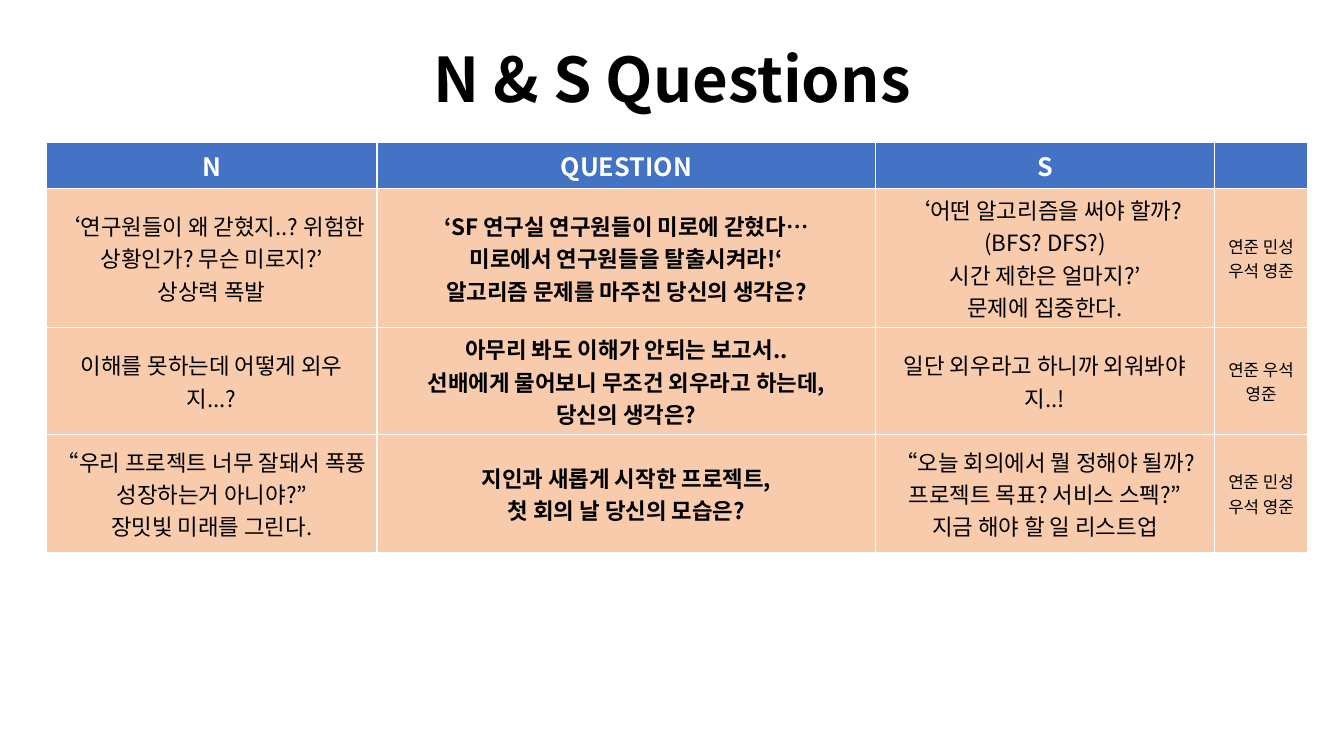
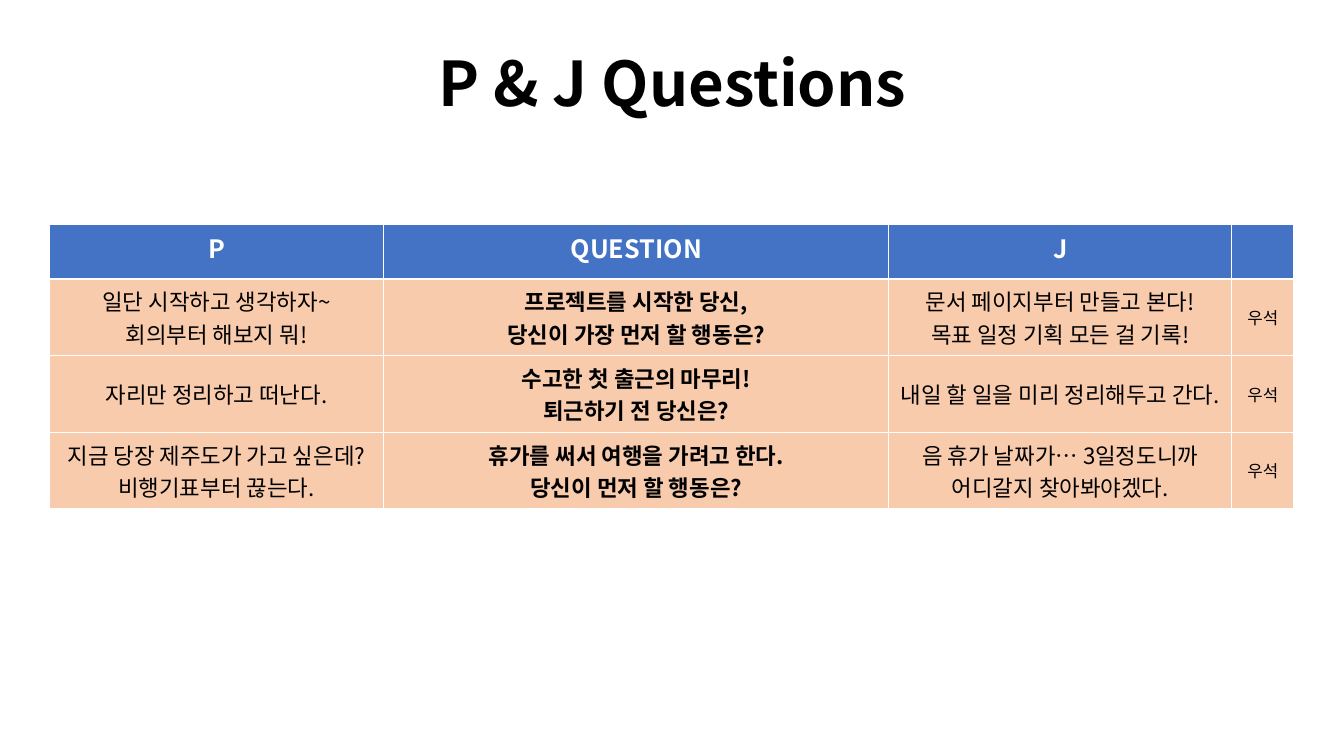
"""Build two slides of personality questions, each a title above a table."""
from lxml import etree
from pptx import Presentation
from pptx.dml.color import RGBColor
from pptx.enum.text import MSO_ANCHOR, MSO_AUTO_SIZE, PP_ALIGN
from pptx.oxml.ns import qn
from pptx.util import Cm, Pt

CENTER = PP_ALIGN.CENTER
TOP, MIDDLE = MSO_ANCHOR.TOP, MSO_ANCHOR.MIDDLE
NO_FIT = MSO_AUTO_SIZE.NONE
FONT = "Noto Sans CJK KR"
COLORS = {"text": "000000", "header_text": "FFFFFF", "header": "4472C4", "body": "F8CBAD"}
QUESTION_COL, NAMES_COL = 1, 3

SLIDES = [
    {
        "title": "N & S Questions",
        "title_top": 0.23,
        "left": 1.17,
        "top": 3.58,
        "cols": [8.33, 12.57, 8.53, 2.36],
        "rows": [1.04, 2.29, 2.29, 2.97],
        "cells": [
            ["N", "QUESTION", "S", ""],
            [
                "‘연구원들이 왜 갇혔지..? 위험한 상황인가? 무슨 미로지?’\n상상력 폭발",
                "‘SF 연구실 연구원들이 미로에 갇혔다…\n미로에서 연구원들을 탈출시켜라!‘\n"
                "알고리즘 문제를 마주친 당신의 생각은?",
                "‘어떤 알고리즘을 써야 할까? (BFS? DFS?)\n시간 제한은 얼마지?’\n문제에 집중한다.",
                "연준 민성 우석 영준",
            ],
            [
                "이해를 못하는데 어떻게 외우지...?",
                "아무리 봐도 이해가 안되는 보고서..\n선배에게 물어보니 무조건 외우라고 하는데,\n"
                "당신의 생각은?",
                "일단 외우라고 하니까 외워봐야지..!",
                "연준 우석 영준",
            ],
            [
                "“우리 프로젝트 너무 잘돼서 폭풍 성장하는거 아니야?”\n장밋빛 미래를 그린다.",
                "지인과 새롭게 시작한 프로젝트,\n첫 회의 날 당신의 모습은?",
                "“오늘 회의에서 뭘 정해야 될까? 프로젝트 목표? 서비스 스펙?”\n"
                "지금 해야 할 일 리스트업",
                "연준 민성 우석 영준",
            ],
        ],
    },
    {
        "title": "P & J Questions",
        "title_top": 0.33,
        "left": 1.24,
        "top": 5.66,
        "cols": [8.43, 12.73, 8.64, 1.57],
        "rows": [1.37, 1.93, 1.93, 1.93],
        "cells": [
            ["P", "QUESTION", "J", ""],
            [
                "일단 시작하고 생각하자~\n회의부터 해보지 뭐!",
                "프로젝트를 시작한 당신,\n당신이 가장 먼저 할 행동은?",
                "문서 페이지부터 만들고 본다!\n목표 일정 기획 모든 걸 기록!",
                "우석",
            ],
            [
                "자리만 정리하고 떠난다.",
                "수고한 첫 출근의 마무리!\n퇴근하기 전 당신은?",
                "내일 할 일을 미리 정리해두고 간다.",
                "우석",
            ],
            [
                "지금 당장 제주도가 가고 싶은데? 비행기표부터 끊는다.",
                "휴가를 써서 여행을 가려고 한다.\n당신이 먼저 할 행동은?",
                "음 휴가 날짜가… 3일정도니까 어디갈지 찾아봐야겠다.",
                "우석",
            ],
        ],
    },
]


def format_text(tf, size, color, bold):
    for p in tf.paragraphs:
        p.alignment = CENTER
        p.font.size = Pt(size)
        p.font.bold = bold
        p.font.color.rgb = RGBColor.from_string(COLORS[color])
        p.font.name = FONT
        props = p._p.pPr.find(qn("a:defRPr"))
        etree.SubElement(props, qn("a:ea"), typeface=FONT)


prs = Presentation()
prs.slide_width, prs.slide_height = Cm(33.87), Cm(19.05)

for data in SLIDES:
    s = prs.slides.add_slide(prs.slide_layouts[5])
    title = s.shapes.title
    title.left, title.top = Cm(2.34), Cm(data["title_top"])
    title.width, title.height = Cm(29.21), Cm(3.68)
    tf = title.text_frame
    tf.text = data["title"]
    tf.auto_size = NO_FIT
    tf.vertical_anchor = MIDDLE
    tf.paragraphs[0].line_spacing = 0.9
    format_text(tf, 44, "text", True)

    cols, rows = data["cols"], data["rows"]
    table = s.shapes.add_table(
        len(rows), len(cols), Cm(data["left"]), Cm(data["top"]), Cm(sum(cols)), Cm(sum(rows))
    ).table
    table.horz_banding = False
    for col, width in zip(table.columns, cols):
        col.width = Cm(width)
    for row, height in zip(table.rows, rows):
        row.height = Cm(height)

    for i, texts in enumerate(data["cells"]):
        header = i == 0
        for j, text in enumerate(texts):
            cell = table.cell(i, j)
            cell.text = text
            cell.fill.solid()
            cell.fill.fore_color.rgb = RGBColor.from_string(COLORS["header" if header else "body"])
            cell.vertical_anchor = TOP if header else MIDDLE
            size = 18 if header else 12 if j == NAMES_COL else 16
            color = "header_text" if header else "text"
            format_text(cell.text_frame, size, color, header or j == QUESTION_COL)

prs.save("out.pptx")
